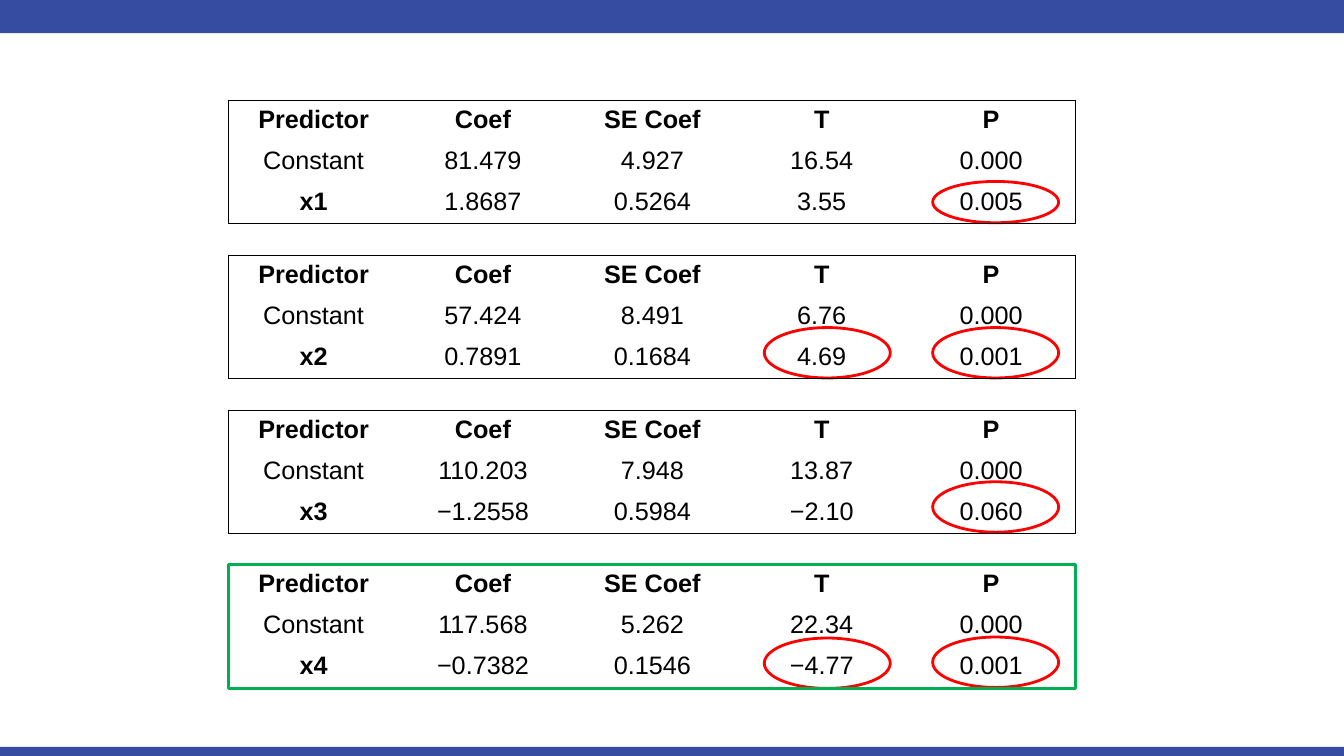
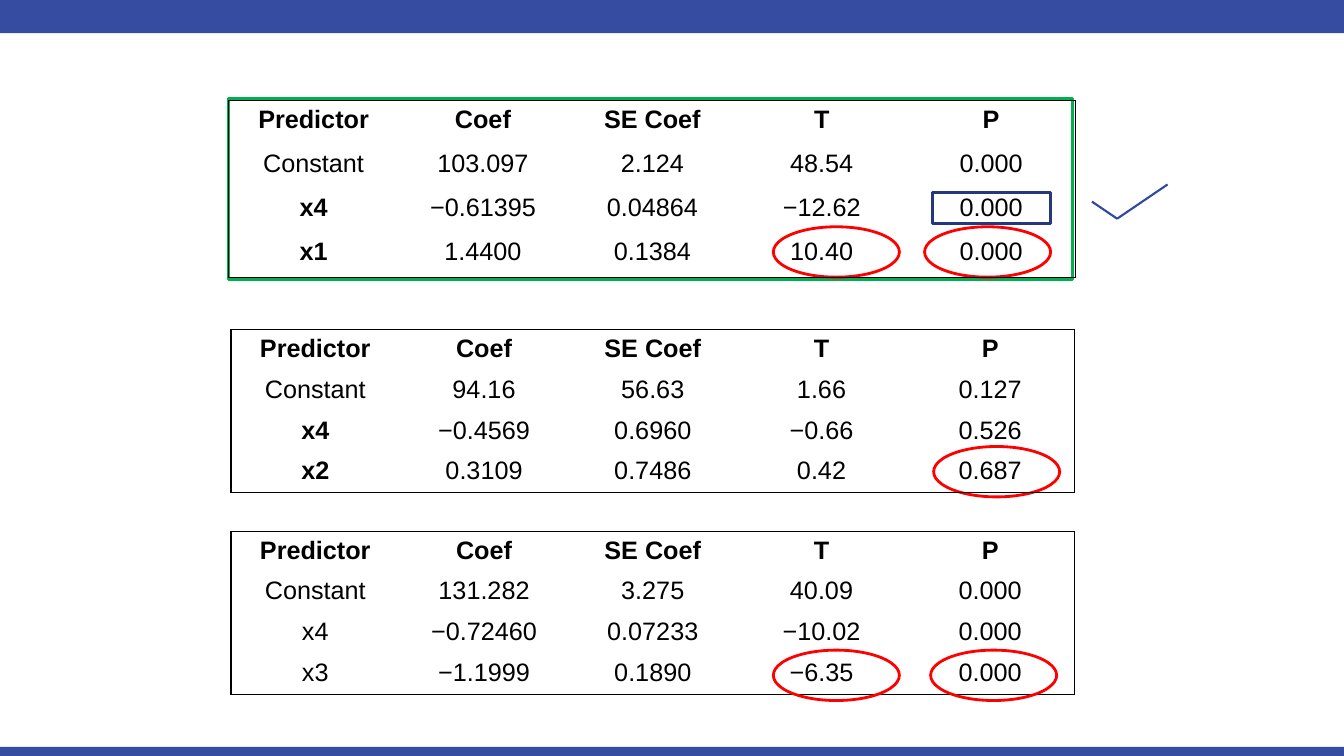
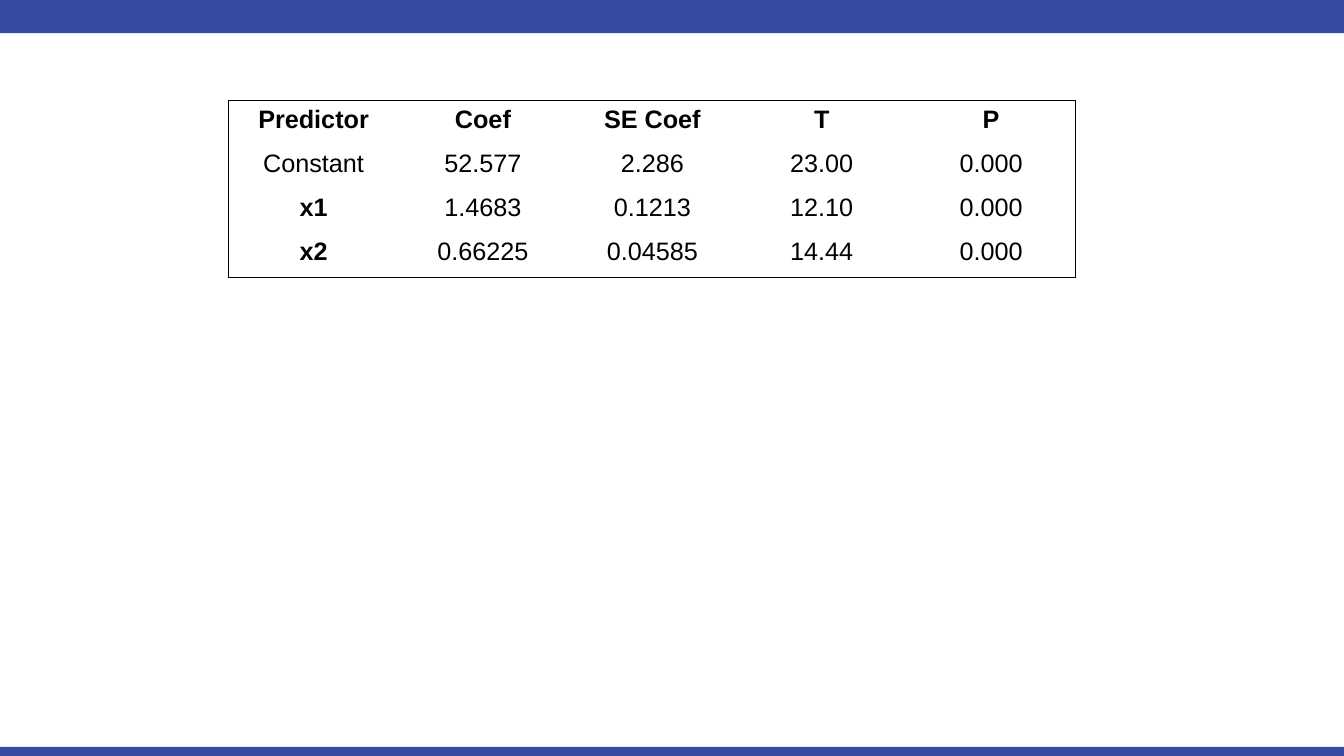
from pptx import Presentation
from pptx.dml.color import RGBColor
from pptx.enum.shapes import MSO_CONNECTOR as Connector, MSO_SHAPE as Shape
from pptx.enum.text import PP_ALIGN as Align
from pptx.oxml.ns import qn
from pptx.oxml.xmlchemy import OxmlElement
from pptx.util import Inches, Pt

COLORS = {"band": "354CA1", "text": "000000", "ring": "FF0000",
          "chosen": "00B050", "tick": "3049A0", "box": "263877"}
SLIDE_WIDTH, SLIDE_HEIGHT = 13.33, 7.5
BANDS = [(0, 7.41, SLIDE_WIDTH, 0.1), (0, 0, SLIDE_WIDTH, 0.33)]
NO_STYLE_NO_GRID = "{2D5ABB26-0587-4C30-8999-92F81FD0307C}"

HEADER = ("Predictor", "Coef", "SE Coef", "T", "P")
WIDE, NARROW = (2.27, 8.4), (2.29, 8.37)  # left, width
THREE_ROWS, FOUR_ROWS, TALL_ROWS = 1.22, 1.62, 1.75

ONE_PREDICTOR = [
    [("Constant", "81.479", "4.927", "16.54", "0.000"),
     ("x1", "1.8687", "0.5264", "3.55", "0.005")],
    [("Constant", "57.424", "8.491", "6.76", "0.000"),
     ("x2", "0.7891", "0.1684", "4.69", "0.001")],
    [("Constant", "110.203", "7.948", "13.87", "0.000"),
     ("x3", "−1.2558", "0.5984", "−2.10", "0.060")],
    [("Constant", "117.568", "5.262", "22.34", "0.000"),
     ("x4", "−0.7382", "0.1546", "−4.77", "0.001")],
]
ONE_PREDICTOR_TOP, ONE_PREDICTOR_STEP = 1, 1.535
ONE_PREDICTOR_RINGS = [(9.25, 3.25), (9.25, 6.32), (7.58, 6.33),
                       (7.58, 3.25), (9.25, 1.8, 0.41), (9.25, 4.78)]

X4_WITH_X1 = [("Constant", "103.097", "2.124", "48.54", "0.000"),
              ("x4", "−0.61395", "0.04864", "−12.62", "0.000"),
              ("x1", "1.4400", "0.1384", "10.40", "0.000")]
X4_WITH_X2 = [("Constant", "94.16", "56.63", "1.66", "0.127"),
              ("x4", "−0.4569", "0.6960", "−0.66", "0.526"),
              ("x2", "0.3109", "0.7486", "0.42", "0.687")]
X4_WITH_X3 = [("Constant", "131.282", "3.275", "40.09", "0.000"),
              ("x4", "−0.72460", "0.07233", "−10.02", "0.000"),
              ("x3", "−1.1999", "0.1890", "−6.35", "0.000")]
TWO_PREDICTOR_RINGS = [(9.17, 2.25), (9.26, 4.43), (9.23, 6.45),
                       (7.67, 6.45), (7.67, 2.25)]
TICK = [(10.83, 2), (11.08, 2.17), (11.58, 1.83)]

X1_WITH_X2 = [("Constant", "52.577", "2.286", "23.00", "0.000"),
              ("x1", "1.4683", "0.1213", "12.10", "0.000"),
              ("x2", "0.66225", "0.04585", "14.44", "0.000")]


def color(name):
    return RGBColor.from_string(COLORS[name])


def inches(values):
    return [Inches(value) for value in values]


def add_bands(layout, page):
    """Draw the bands on a page, then move them to its layout."""
    for number, place in enumerate(BANDS, 11):
        band = page.shapes.add_shape(Shape.RECTANGLE, *inches(place))
        band.shadow.inherit = False
        band.fill.solid()
        band.fill.fore_color.rgb = color("band")
        band.line.fill.background()
        band.element.nvSpPr.cNvPr.set("id", str(number))
        layout.element.cSld.spTree.append(band.element)


def add_outline(page, kind, place, line_color, line_width=2):
    outline = page.shapes.add_shape(kind, *inches(place))
    outline.shadow.inherit = False
    outline.fill.background()
    outline.line.color.rgb = color(line_color)
    outline.line.width = Pt(line_width)


def add_rings(page, rings):
    for left, top, *height in rings:
        place = (left, top, 1.25, *(height or [0.5]))
        add_outline(page, Shape.OVAL, place, "ring")


def add_tick(page):
    group = page.shapes.add_group_shape()
    for start, end in zip(TICK, TICK[1:]):
        stroke = group.shapes.add_connector(Connector.STRAIGHT, *inches(start + end))
        stroke.line.color.rgb = color("tick")
        stroke.line.width = Pt(1.5)
        stroke.element.spPr.append(OxmlElement("a:effectLst"))


def set_borders(cell, sides):
    """Give a cell a 1 pt line on each named side and none on the others."""
    properties = cell._tc.get_or_add_tcPr()
    for side in "LRTB":
        line = OxmlElement(f"a:ln{side}")
        line.set("w", str(Pt(1)))
        fill = OxmlElement("a:solidFill" if side in sides else "a:noFill")
        if side in sides:
            shade = OxmlElement("a:srgbClr")
            shade.set("val", COLORS["text"])
            fill.append(shade)
        line.append(fill)
        properties.append(line)


def add_coefficients(page, body, top, height, span=WIDE, bold_names=True):
    rows = [HEADER, *body]
    left, width = span
    frame = page.shapes.add_table(len(rows), len(HEADER),
                                  *inches((left, top, width, height)))
    table = frame.table
    table.first_row = table.horz_banding = False
    for style in frame.element.iter(qn("a:tableStyleId")):
        style.text = NO_STYLE_NO_GRID
    for row in table.rows:
        row.height = Inches(height / len(rows))
    last_row, last_column = len(rows) - 1, len(HEADER) - 1
    for i, values in enumerate(rows):
        for j, value in enumerate(values):
            cell = table.cell(i, j)
            edges = {"L": j == 0, "R": j == last_column,
                     "T": i == 0, "B": i == last_row}
            set_borders(cell, [side for side, outer in edges.items() if outer])
            cell.fill.background()
            para = cell.text_frame.paragraphs[0]
            para.alignment = Align.CENTER
            run = para.add_run()
            run.text = value
            is_name = j == 0 and value != "Constant" and bold_names
            formats = {"name": "Arial", "size": Pt(18), "bold": i == 0 or is_name}
            for key, setting in formats.items():
                setattr(run.font, key, setting)
            run.font.color.rgb = color("text")


def one_predictor(page):
    tops = [ONE_PREDICTOR_TOP + ONE_PREDICTOR_STEP * i
            for i in range(len(ONE_PREDICTOR))]
    *others, chosen = zip(ONE_PREDICTOR, tops)
    add_coefficients(page, *chosen, THREE_ROWS)
    add_rings(page, ONE_PREDICTOR_RINGS)
    for body, top in reversed(others):
        add_coefficients(page, body, top, THREE_ROWS)
    add_outline(page, Shape.RECTANGLE, (2.27, 5.6, 8.4, 1.23), "chosen", 2.25)


def two_predictors(page):
    add_coefficients(page, X4_WITH_X3, 5.27, FOUR_ROWS, NARROW, bold_names=False)
    add_outline(page, Shape.RECTANGLE, (2.27, 0.98, 8.37, 1.79), "chosen", 2.25)
    add_rings(page, TWO_PREDICTOR_RINGS)
    add_tick(page)
    add_outline(page, Shape.RECTANGLE, (9.25, 1.91, 1.17, 0.31), "box")
    add_coefficients(page, X4_WITH_X2, 3.27, FOUR_ROWS, NARROW)
    add_coefficients(page, X4_WITH_X1, 1, TALL_ROWS)


def final_model(page):
    add_coefficients(page, X1_WITH_X2, 1, TALL_ROWS)


def main():
    deck = Presentation()
    deck.slide_width, deck.slide_height = inches((SLIDE_WIDTH, SLIDE_HEIGHT))
    blank = deck.slide_layouts[6]
    pages = [deck.slides.add_slide(blank) for _ in range(3)]
    add_bands(blank, pages[0])
    for build, page in zip((one_predictor, two_predictors, final_model), pages):
        build(page)
    deck.save("out.pptx")


if __name__ == "__main__":
    main()
